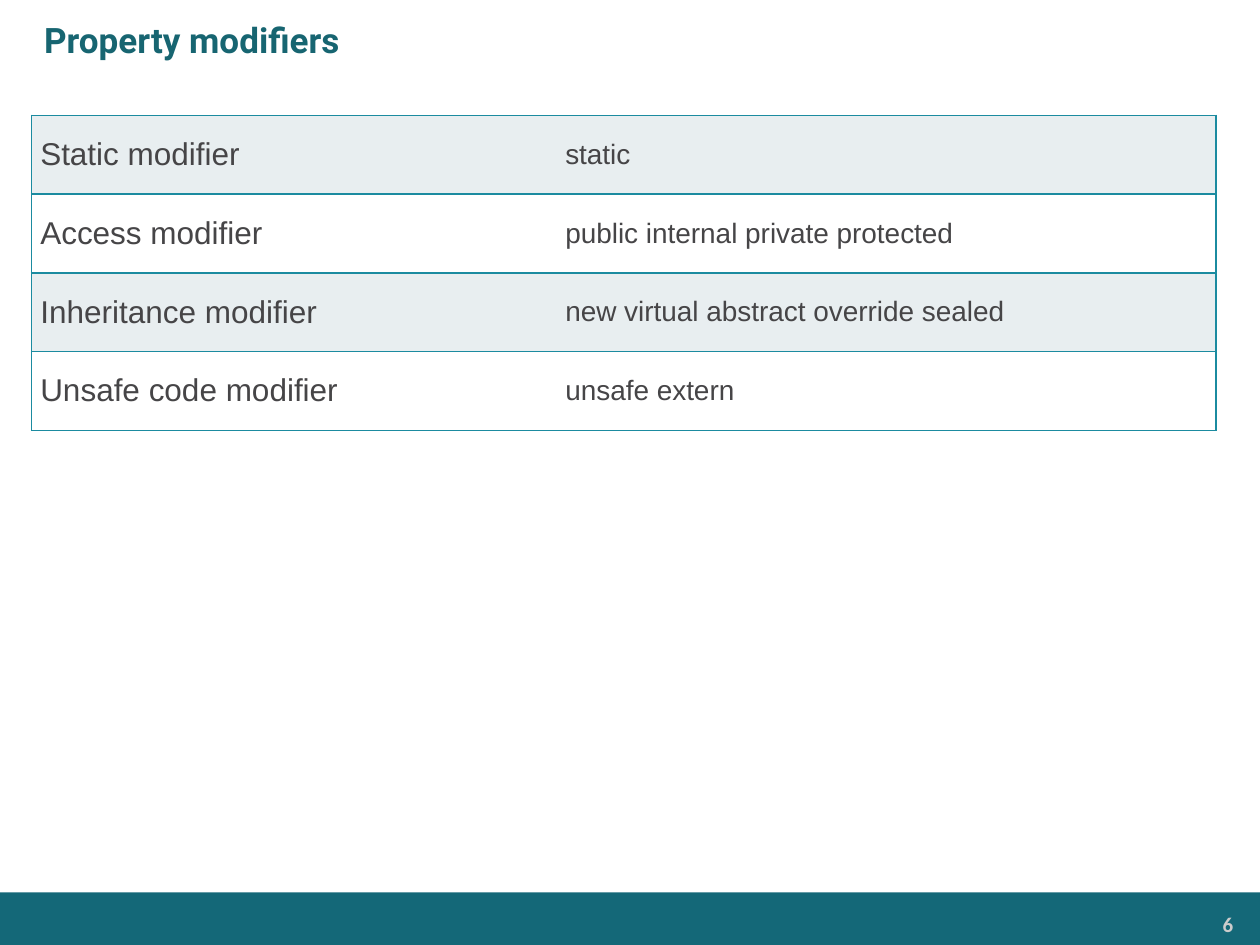
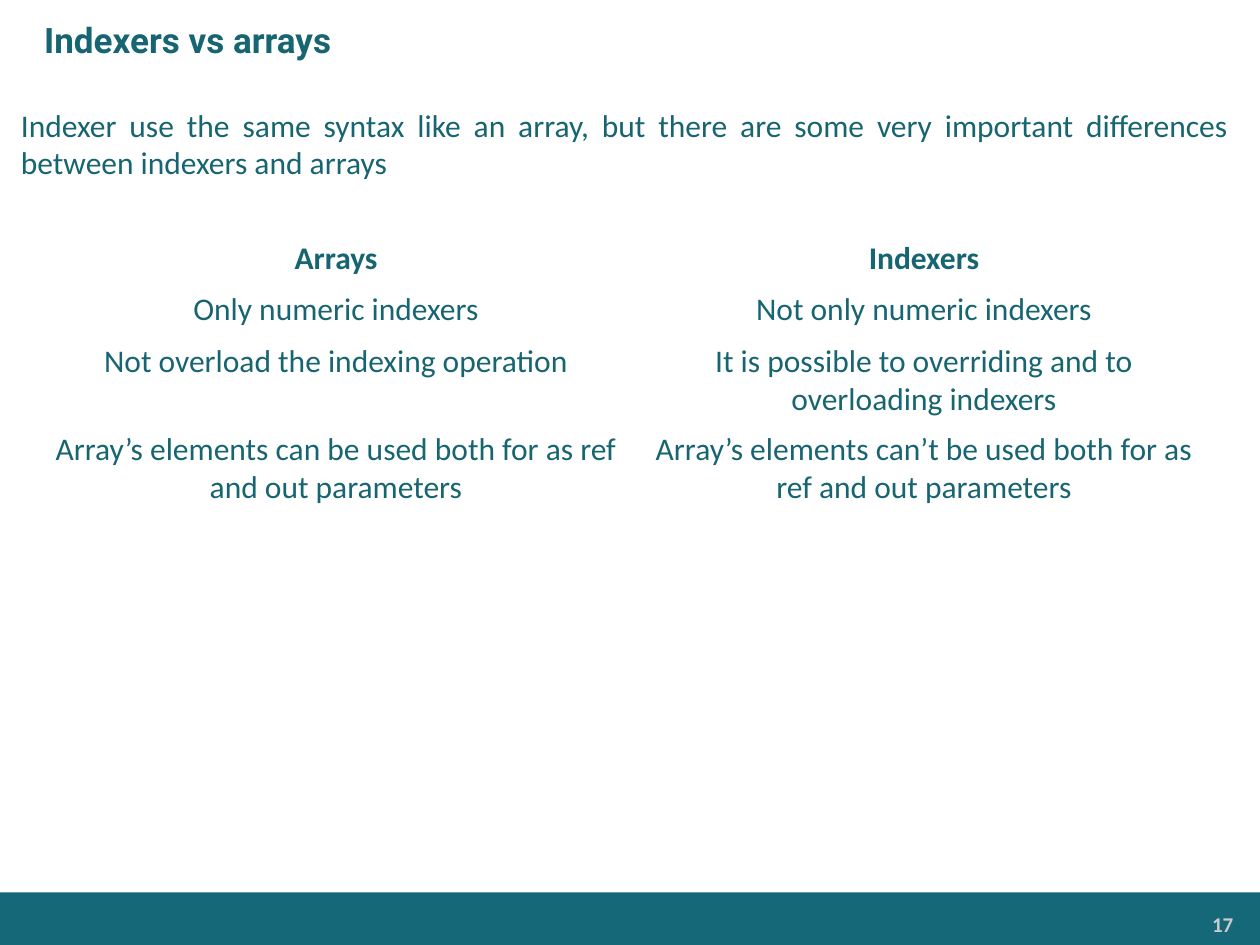
from dataclasses import dataclass

from lxml import etree
from pptx import Presentation
from pptx.dml.color import RGBColor
from pptx.enum.shapes import MSO_SHAPE
from pptx.enum.text import MSO_ANCHOR, MSO_AUTO_SIZE, PP_ALIGN
from pptx.oxml.ns import qn
from pptx.util import Inches, Pt

RECTANGLE = MSO_SHAPE.RECTANGLE
MIDDLE, TOP = MSO_ANCHOR.MIDDLE, MSO_ANCHOR.TOP
NO_AUTOFIT = MSO_AUTO_SIZE.NONE
LEFT, CENTER = PP_ALIGN.LEFT, PP_ALIGN.CENTER
RIGHT, JUSTIFY = PP_ALIGN.RIGHT, PP_ALIGN.JUSTIFY

GRID_COLUMNS, GRID_ROWS = 120, 90
TITLE_ONLY = 5
PLAIN_TABLE_STYLE = "{2D5ABB26-0587-4C30-8999-92F81FD0307C}"


@dataclass(frozen=True)
class Theme:
    band: str = "146878"
    heading: str = "176571"
    border: str = "1B8BA0"
    table_text: str = "464547"
    page_number: str = "CCCCCC"
    stripes: tuple = ("E8EEF0", "FFFFFF")
    title_font: str = "Roboto"
    body_font: str = "Calibri"
    table_font: str = "Arial"
    title_size: int = 20
    body_size: int = 18
    keyword_size: int = 16
    number_size: int = 12
    border_width: float = 1


THEME = Theme()

MODIFIERS = [
    ("Static modifier", "static"),
    ("Access modifier", "public internal private protected"),
    ("Inheritance modifier", "new virtual abstract override sealed"),
    ("Unsafe code modifier", "unsafe extern"),
]

COMPARISON = [
    ("Arrays", "Indexers"),
    ("Only numeric indexers", "Not only numeric indexers"),
    ("Not overload the indexing operation",
     "It is possible to overriding and to overloading indexers"),
    ("Array’s elements can be used both for as ref and out parameters",
     "Array’s elements can’t be used both for as ref and out parameters"),
]

INTRODUCTION = (
    "Indexer use the same syntax like an array, but there are some very "
    "important differences between indexers and arrays"
)


def units(count):
    return Inches(count / 12)


def write(frame, text, font, size, color, bold=False, align=LEFT):
    frame.text = text
    para = frame.paragraphs[0]
    para.alignment = align
    for span in para.runs:
        span.font.name = font
        span.font.size = Pt(size)
        span.font.bold = bold
        span.font.color.rgb = RGBColor.from_string(color)
    return para


def add_label(page, column, row, width, height, margins):
    box = page.shapes.add_textbox(*map(units, (column, row, width, height)))
    frame = box.text_frame
    frame.word_wrap = True
    frame.margin_left = frame.margin_right = Inches(margins[0])
    frame.margin_top = frame.margin_bottom = Inches(margins[1])
    return frame


def add_footer(page, number):
    band = page.shapes.add_shape(
        RECTANGLE, 0, units(85), units(GRID_COLUMNS), units(5))
    band.shadow.inherit = False
    band.fill.solid()
    band.fill.fore_color.rgb = RGBColor.from_string(THEME.band)
    band.line.fill.background()
    frame = add_label(page, 98.8, 86.3, 19.5, 3.3, (0.07, 0.04))
    write(frame, str(number), THEME.body_font, THEME.number_size,
          THEME.page_number, bold=True, align=RIGHT)


def add_page(deck, title, number):
    page = deck.slides.add_slide(deck.slide_layouts[TITLE_ONLY])
    heading = page.shapes.title
    heading.left, heading.top = 0, 0
    heading.width, heading.height = units(GRID_COLUMNS), units(7.5)
    frame = heading.text_frame
    frame.auto_size = NO_AUTOFIT
    frame.vertical_anchor = MIDDLE
    para = write(frame, title, THEME.title_font, THEME.title_size,
                 THEME.heading, bold=True)
    properties = para._p.get_or_add_pPr()
    properties.set("marL", str(units(3)))
    properties.set("indent", "0")
    add_footer(page, number)
    return page


def add_plain_table(page, column, row, widths, heights):
    frame = page.shapes.add_table(
        len(heights), len(widths), units(column), units(row),
        units(sum(widths)), units(sum(heights)))
    table = frame.table
    table.first_row = table.horz_banding = False
    table._tbl.tblPr.find(qn("a:tableStyleId")).text = PLAIN_TABLE_STYLE
    for table_column, width in zip(table.columns, widths):
        table_column.width = units(width)
    for table_row, height in zip(table.rows, heights):
        table_row.height = units(height)
    return table


def set_borders(cell, sides):
    properties = cell._tc.get_or_add_tcPr()
    for position, side in enumerate(sides):
        line = etree.Element(
            qn(f"a:ln{side}"), w=str(Pt(THEME.border_width)))
        fill = etree.SubElement(line, qn("a:solidFill"))
        etree.SubElement(fill, qn("a:srgbClr"), val=THEME.border)
        properties.insert(position, line)


def add_modifier_table(page):
    table = add_plain_table(page, 3, 11, (50, 62.8), [7.5] * len(MODIFIERS))
    styles = ((THEME.body_size, "LTB"), (THEME.keyword_size, "RTB"))
    for row, texts in enumerate(MODIFIERS):
        stripe = THEME.stripes[row % len(THEME.stripes)]
        for column, (text, (size, sides)) in enumerate(zip(texts, styles)):
            cell = table.cell(row, column)
            cell.vertical_anchor = MIDDLE
            cell.margin_left = cell.margin_right = Inches(0.07)
            cell.fill.solid()
            cell.fill.fore_color.rgb = RGBColor.from_string(stripe)
            set_borders(cell, sides)
            write(cell.text_frame, text, THEME.table_font, size,
                  THEME.table_text)


def add_comparison_table(page):
    table = add_plain_table(page, 4, 22.2, (56, 56), (4.9, 4.9, 8.4, 8.4))
    for row, texts in enumerate(COMPARISON):
        for column, text in enumerate(texts):
            cell = table.cell(row, column)
            cell.vertical_anchor = TOP
            cell.fill.background()
            write(cell.text_frame, text, THEME.body_font, THEME.body_size,
                  THEME.heading, bold=row == 0, align=CENTER)


def main():
    deck = Presentation()
    deck.slide_width = units(GRID_COLUMNS)
    deck.slide_height = units(GRID_ROWS)

    modifiers = add_page(deck, "Property modifiers", 6)
    add_modifier_table(modifiers)

    comparison = add_page(deck, "Indexers vs arrays", 17)
    frame = add_label(comparison, 2, 10, 115, 7.3, (0, 0))
    frame.vertical_anchor = MIDDLE
    write(frame, INTRODUCTION, THEME.body_font, THEME.body_size,
          THEME.heading, align=JUSTIFY)
    add_comparison_table(comparison)

    deck.save("out.pptx")


if __name__ == "__main__":
    main()
